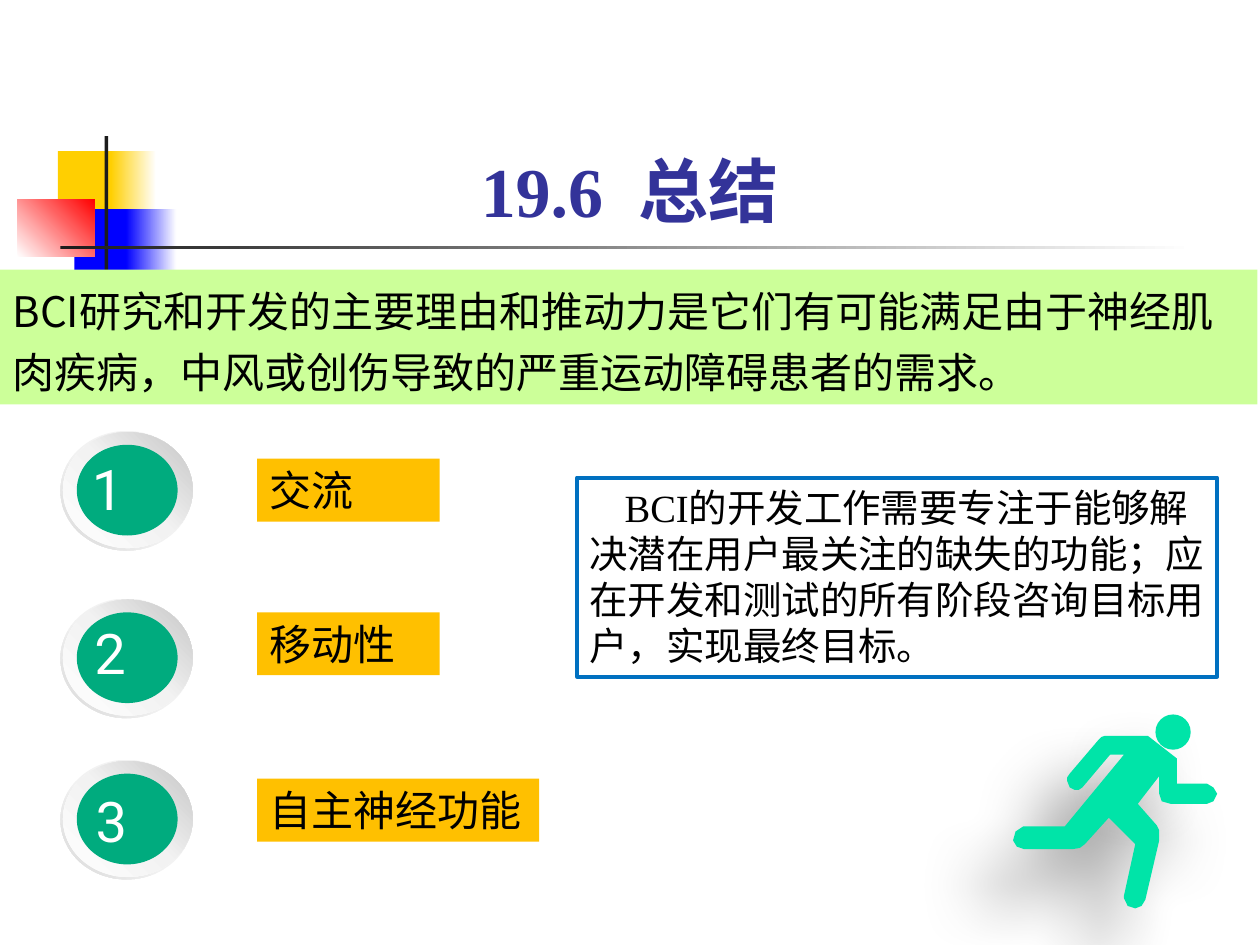
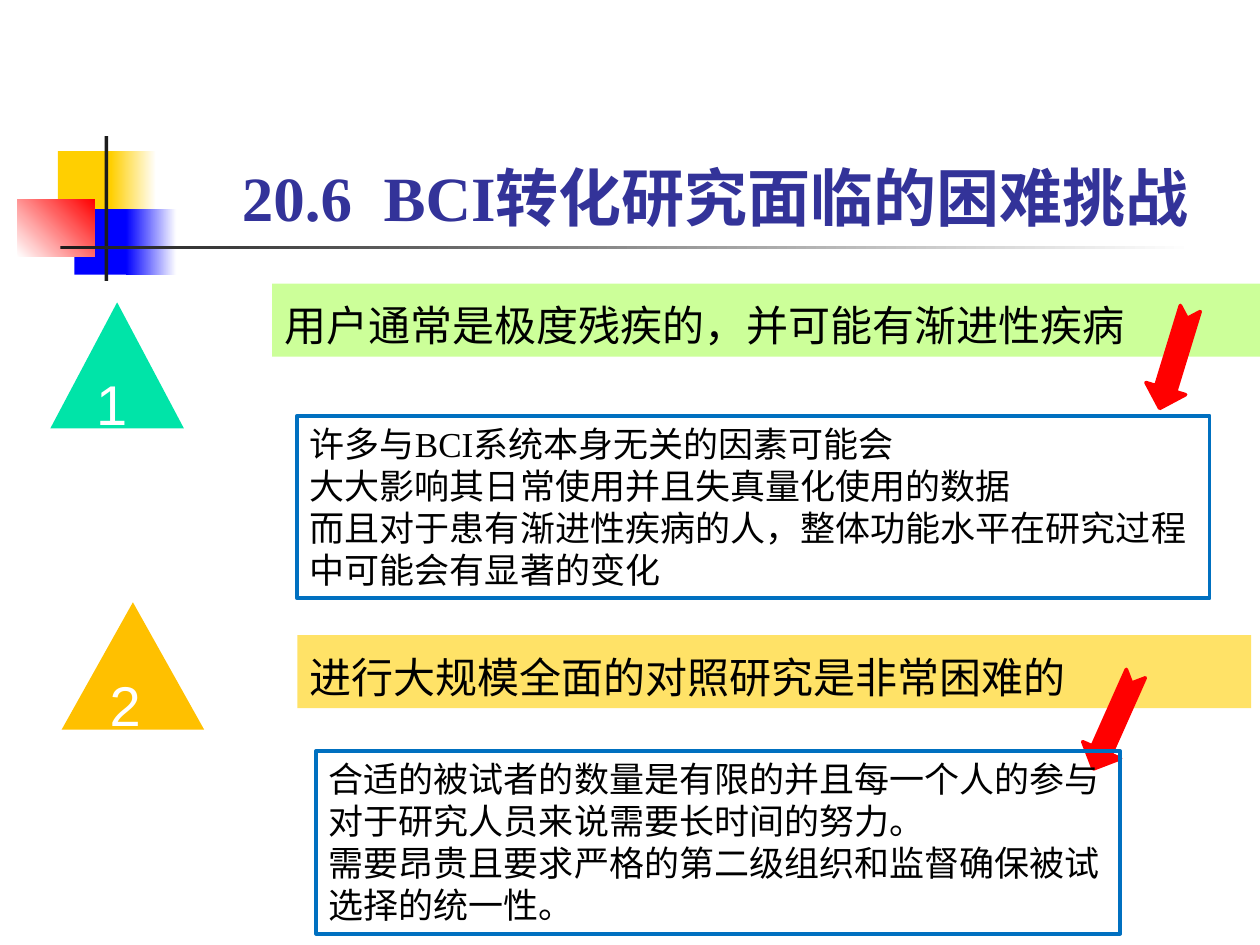
import pptx
import pptx.util
import pptx.dml.color
import pptx.enum.shapes
import pptx.enum.text
import pptx.oxml.ns
from dataclasses import dataclass
from lxml import etree

Inches, Pt = pptx.util.Inches, pptx.util.Pt
RGB = pptx.dml.color.RGBColor.from_string
qn = pptx.oxml.ns.qn
SHAPE = pptx.enum.shapes.MSO_SHAPE
ALIGN = pptx.enum.text.PP_ALIGN
ANCHOR = pptx.enum.text.MSO_ANCHOR


@dataclass(frozen=True)
class Theme:
    title: str = "333399"
    black: str = "000000"
    white: str = "FFFFFF"
    ink: str = "1C1C1C"
    yellow: str = "FFCF01"
    blue: str = "0000FF"
    red: str = "FF0000"
    lime: str = "CCFF99"
    sand: str = "FFE267"
    amber: str = "FFC000"
    green: str = "00AB7E"
    mint: str = "00E4A8"
    frame: str = "0070C0"
    serif: str = "Times New Roman"
    cjk: str = "Noto Sans CJK SC"
    digit: str = "Roboto"
    sans: str = "Arial"
    big: float = 40
    heading: float = 36
    number: float = 32
    label: float = 24
    panel: float = 22
    detail: float = 20


T = Theme()


def draw(shapes, kind, box, fill=None, line=None, line_width=2.25):
    """Add a preset shape; fill is a colour or (angle, [(position, colour), ...])."""
    sp = shapes.add_shape(kind, *map(Inches, box))
    sp.shadow.inherit = False
    if fill is None:
        sp.fill.background()
    elif isinstance(fill, str):
        sp.fill.solid()
        sp.fill.fore_color.rgb = RGB(fill)
    else:
        angle, stops = fill
        sp.fill.gradient()
        sp.fill.gradient_angle = angle
        gs_list = sp._element.spPr.find(".//" + qn("a:gsLst"))
        for gs in list(gs_list):
            gs_list.remove(gs)
        for position, color in stops:
            gs = etree.SubElement(gs_list, qn("a:gs"), pos=str(position * 1000))
            etree.SubElement(gs, qn("a:srgbClr"), val=color)
    if line:
        sp.line.color.rgb = RGB(line)
        sp.line.width = Pt(line_width)
    else:
        sp.line.fill.background()
    return sp


def write(sp, text, size, font=T.cjk, color=T.black, bold=False,
          align=ALIGN.LEFT, anchor=ANCHOR.TOP, spacing=1.0, before=0):
    tf = sp.text_frame
    tf.text = text
    tf.word_wrap = True
    tf.auto_size = pptx.enum.text.MSO_AUTO_SIZE.NONE
    tf.vertical_anchor = anchor
    for p in tf.paragraphs:
        p.alignment = align
        p.line_spacing = spacing
        p.space_before = Pt(before)
        for r in p.runs:
            r.font.size = Pt(size)
            r.font.bold = bold
            r.font.name = font
            r.font.color.rgb = RGB(color)
            etree.SubElement(r._r.rPr, qn("a:ea"), typeface=T.cjk)
    return tf


prs = pptx.Presentation()
prs.slide_width, prs.slide_height = Inches(10), Inches(7.5)
layout = prs.slide_layouts[5]

# Slide 1: summary
s = prs.slides.add_slide(layout)

# Corner ornament and title rule, moved to the layout both slides share
ornament = [
    ((0.46, 1.2, 0.48, 0.52), T.yellow),
    ((0.88, 1.2, 0.36, 0.52), (0, [(0, T.yellow), (100, T.white)])),
    ((0.59, 1.66, 0.46, 0.52), T.blue),
    ((1, 1.66, 0.4, 0.52), (0, [(0, T.blue), (100, T.white)])),
    ((0.14, 1.58, 0.61, 0.46), (45, [(0, T.white), (100, T.red)])),
    ((0.83, 1.08, 0.03, 1.15), T.ink),
    ((0.48, 1.95, 9, 0.03), (0, [(0, T.ink), (100, T.white)])),
]
for box, fill in ornament:
    sp = draw(s.shapes, SHAPE.RECTANGLE, box, fill)
    layout.shapes._spTree.append(sp._element)

title = s.shapes.title
title.left, title.top, title.width, title.height = map(Inches, (1.59, 0.42, 6.81, 1.47))
write(title, "19.6  总结", T.big, T.serif, T.title, bold=True,
      align=ALIGN.CENTER, anchor=ANCHOR.BOTTOM)

banner = draw(s.shapes, SHAPE.RECTANGLE, (0, 2.14, 9.98, 1.07), T.lime)
write(banner, "BCI研究和开发的主要理由和推动力是它们有可能满足由于神经肌肉疾病，"
      "中风或创伤导致的严重运动障碍患者的需求。", T.label, spacing=1.2, before=4.8)

rim_fill = (225, [(0, "F2F2F2"), (55, "F2F2F2"), (100, "D9D9D9")])
dish_fill = (45, [(0, T.white), (51, "F2F2F2"), (100, "C5C5C5")])
needs = [  # badge top, number left and top, label top and width, label
    (3.42, 0.46, 3.53, 3.64, 1.45, "交流"),
    (4.75, 0.48, 4.83, 4.86, 1.45, "移动性"),
    (6.03, 0.49, 6.16, 6.18, 2.24, "自主神经功能"),
]
for number, (top, num_left, num_top, label_top, width, label) in enumerate(needs, 1):
    badge = s.shapes.add_group_shape().shapes
    rim = draw(badge, SHAPE.DONUT, (0.48, top, 1.05, 0.95), rim_fill)
    rim.adjustments[0] = 0.05
    draw(badge, SHAPE.OVAL, (0.5, top + 0.01, 1.03, 0.92), dish_fill)
    draw(badge, SHAPE.OVAL, (0.61, top + 0.11, 0.8, 0.72), T.green)
    tb = badge.add_textbox(*map(Inches, (num_left, num_top, 0.8, 0.69)))
    tf = write(tb, str(number), T.number, T.digit, T.white)
    tf.margin_left, tf.margin_right = Inches(0.27), Inches(0.16)
    tf.margin_top = tf.margin_bottom = Inches(0.08)
    sp = draw(s.shapes, SHAPE.RECTANGLE, (2.04, label_top, width, 0.5), T.amber)
    write(sp, label, T.label)

panel = draw(s.shapes, SHAPE.RECTANGLE, (4.58, 3.79, 5.08, 1.58), line=T.frame)
tf = write(panel, "BCI的开发工作需要专注于能够解决潜在用户最关注的缺失的功能；"
           "应在开发和测试的所有阶段咨询目标用户，实现最终目标。", T.panel, T.serif)
tf.paragraphs[0]._p.get_or_add_pPr().set("indent", str(Inches(0.28)))

# Running figure, outlined in hundredths of an inch
runner = s.shapes.add_group_shape().shapes
head = draw(runner, SHAPE.OVAL, (9.17, 5.67, 0.28, 0.28), T.mint)
outline = [
    (812, 656), (845, 656), (892, 599), (881, 599), (859, 625), (856, 627),
    (853, 627), (849, 625), (847, 620), (847, 617), (849, 614), (872, 587),
    (874, 585), (877, 584), (911, 584), (934, 602), (934, 622), (958, 622),
    (963, 625), (966, 630), (963, 636), (958, 638), (929, 638), (922, 636),
    (920, 630), (920, 616), (903, 638), (918, 655), (920, 659), (920, 667),
    (909, 714), (906, 719), (901, 721), (895, 719), (892, 713), (892, 711),
    (901, 670), (880, 649), (861, 670), (857, 673), (851, 674), (813, 674),
    (807, 672), (804, 667), (806, 660),
]
builder = runner.build_freeform(*outline[0], scale=Inches(0.01))
builder.add_line_segments(outline[1:], close=True)
body = builder.convert_to_shape()
body.shadow.inherit = False
body.fill.solid()
body.fill.fore_color.rgb = RGB(T.mint)
body.line.fill.background()
for part in (head, body):
    effects = part._element.spPr.find(qn("a:effectLst"))
    shadow = etree.SubElement(effects, qn("a:outerShdw"), blurRad=str(Pt(36)),
                              dist=str(Pt(35)), dir=str(130 * 60000), rotWithShape="0")
    color = etree.SubElement(shadow, qn("a:srgbClr"), val=T.black)
    etree.SubElement(color, qn("a:alpha"), val="38000")

# Slide 2: challenges
s = prs.slides.add_slide(layout)
title = s.shapes.title
title.left, title.top, title.width, title.height = map(Inches, (1.82, 0.44, 7.78, 1.47))
write(title, "20.6  BCI转化研究面临的困难挑战", T.heading, T.serif, T.title, bold=True,
      anchor=ANCHOR.BOTTOM, spacing=1.25)

challenges = [  # triangle, banner, arrow, its rotation, panel, texts
    ((0.4, 2.4, 1.06, 1), T.mint, (2.16, 2.25, 7.9, 0.58), T.lime,
     (8.91, 2.68, 0.83, 0.33), 107, (2.36, 3.3, 7.24, 1.45),
     "用户通常是极度残疾的，并可能有渐进性疾病",
     "许多与BCI系统本身无关的因素可能会\n"
     "大大影响其日常使用并且失真量化使用的数据\n"
     "而且对于患有渐进性疾病的人，整体功能水平在研究过程中可能会有显著的变化"),
    ((0.49, 4.78, 1.13, 1.01), T.amber, (2.36, 5.04, 7.57, 0.58), T.sand,
     (8.43, 5.56, 0.83, 0.33), 114, (2.51, 5.96, 6.38, 1.45),
     "进行大规模全面的对照研究是非常困难的",
     "合适的被试者的数量是有限的并且每一个人的参与对于研究人员来说需要长时间的努力。\n"
     "需要昂贵且要求严格的第二级组织和监督确保被试选择的统一性。"),
]
for number, (marker_box, marker_fill, banner_box, banner_fill, arrow_box, rotation,
             panel_box, heading, detail) in enumerate(challenges, 1):
    marker = draw(s.shapes, SHAPE.ISOSCELES_TRIANGLE, marker_box, marker_fill)
    write(marker, str(number), T.number, T.sans, T.white,
          align=ALIGN.JUSTIFY, anchor=ANCHOR.MIDDLE, spacing=1.2)
    banner = draw(s.shapes, SHAPE.RECTANGLE, banner_box, banner_fill)
    write(banner, heading, T.label, spacing=1.2, before=4.8)
    arrow = draw(s.shapes, SHAPE.NOTCHED_RIGHT_ARROW, arrow_box, T.red, T.red, 2)
    arrow.rotation = rotation
    panel = draw(s.shapes, SHAPE.RECTANGLE, panel_box, line=T.frame)
    write(panel, detail, T.detail, T.serif)

prs.save("out.pptx")
